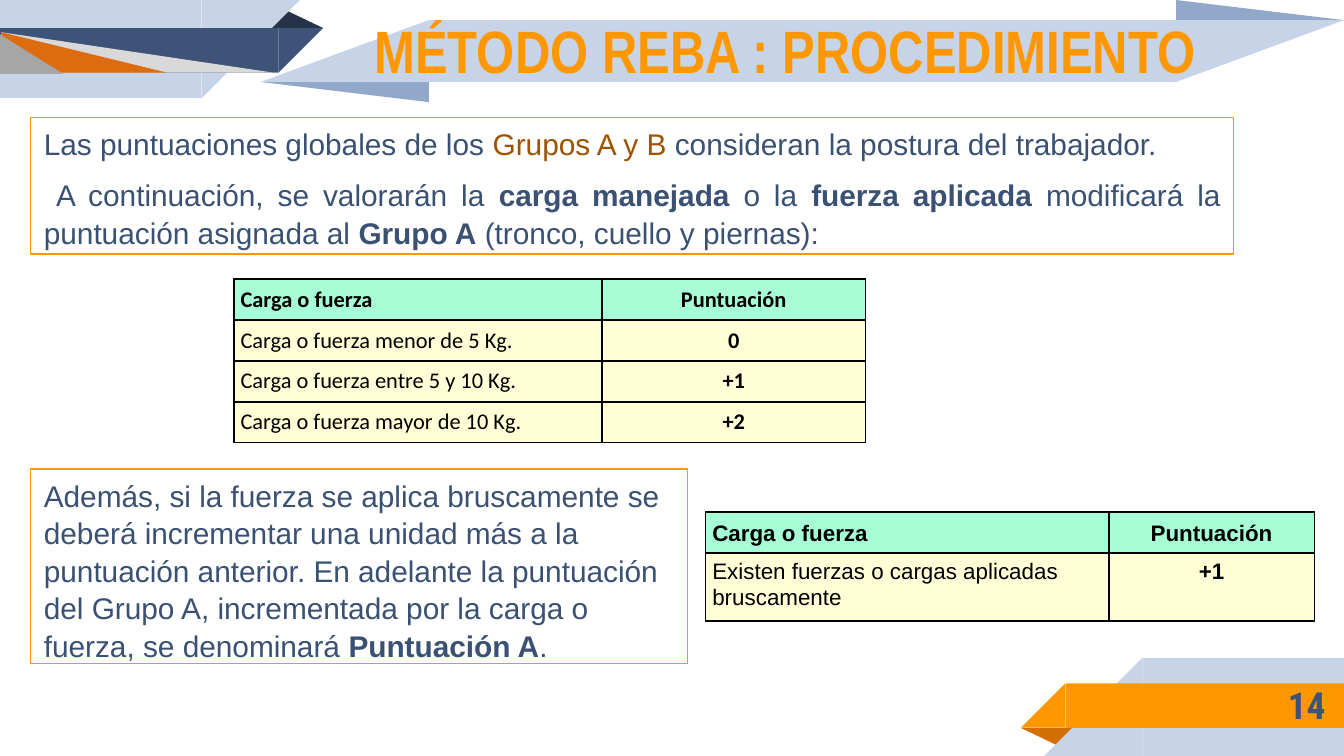
"""Build the REBA procedure slide with its load and force score tables."""
from dataclasses import dataclass

from pptx import Presentation
from pptx.dml.color import RGBColor as RGB
from pptx.enum.shapes import MSO_SHAPE as SHAPE
from pptx.enum.text import MSO_ANCHOR as ANCHOR, PP_ALIGN as ALIGN
from pptx.oxml import parse_xml
from pptx.oxml.ns import nsdecls
from pptx.util import Pt


@dataclass(frozen=True)
class Theme:
    pale: str = "C7D3E6"
    steel: str = "92A8C8"
    navy: str = "3F5378"
    night: str = "263248"
    orange: str = "FF9800"
    rust: str = "D26F00"
    ember: str = "DD6C10"
    light_gray: str = "D9D9D9"
    gray: str = "A6A6A6"
    body: str = "3A5173"
    brown: str = "9E5300"
    black: str = "000000"
    mint: str = "A6FDD6"
    cream: str = "FFFED6"
    title_size: int = 32
    number_size: int = 20
    body_size: int = 16
    table_size: int = 12


T = Theme()
W, H = 720, 405

prs = Presentation()
prs.slide_width, prs.slide_height = Pt(W), Pt(H)
s = prs.slides.add_slide(prs.slide_layouts[6])


def write(p, text, size=T.body_size, font="Arial", color=T.body, bold=False, align=None):
    r = p.add_run()
    r.text = text
    r.font.size, r.font.name, r.font.bold = Pt(size), font, bold
    r.font.color.rgb = RGB.from_string(color)
    if align is not None:
        p.alignment = align


def add_block(kind, box, color, adj=None, turn=0, flip=False):
    sp = s.shapes.add_shape(kind, *map(Pt, box))
    sp.shadow.inherit = False
    sp.fill.solid()
    sp.fill.fore_color.rgb = RGB.from_string(color)
    sp.line.fill.background()
    sp.rotation = turn
    if adj is not None:
        sp.adjustments[0] = adj
    if flip:
        sp._element.spPr.xfrm.set("flipH", "1")


RECT, RIGHT, TRI = SHAPE.RECTANGLE, SHAPE.RIGHT_TRIANGLE, SHAPE.ISOSCELES_TRIANGLE

for turn, fold, band in ((0, T.night, T.navy), (180, T.rust, T.orange)):
    for kind, (x, y, w, h), color, adj in (
        (TRI, (142.2, 5, 31, 10.1), fold, 0.32),
        (RECT, (0, 0, 108, 52.6), T.pale, None),
        (RIGHT, (108, 0, 52.6, 52.6), T.pale, None),
        (RECT, (0, 15.1, 149.2, 23.8), band, None),
        (RIGHT, (149.2, 15.1, 23.8, 23.8), band, None),
    ):
        box = (W - x - w, H - y - h, w, h) if turn else (x, y, w, h)
        mirrored = kind == RIGHT
        add_block(kind, box, color, adj, 180 - turn if mirrored else turn, mirrored)

add_block(RECT, (229.5, 10.8, 401, 33.1), T.pale)
for x, fold_y, turn in ((630, 0, 0), (139.7, 43.9, 180)):
    add_block(TRI, (x, fold_y, 90, 10.8), T.steel, 0, turn)
    add_block(RIGHT, (x, 10.8, 90, 33.1), T.pale, turn=180 - turn, flip=True)

add_block(TRI, (0.7, 17.3, 145.4, 21.6), T.light_gray, 0)
add_block(RIGHT, (0.7, 17.3, 88.6, 21.6), T.ember)
add_block(TRI, (-0.7, 18, 34.6, 21.6), T.gray, 0)

for text, box, inset, form in (
    ("14", (599.8, 365, 117.4, 25.2), 7.2,
     dict(size=T.number_size, font="Roboto Condensed", color=T.navy, align=ALIGN.RIGHT)),
    ("MÉTODO REBA : PROCEDIMIENTO", (184.3, 6.5, 473, 40.3), 0,
     dict(size=T.title_size, font="Arial Narrow", color=T.orange, align=ALIGN.CENTER)),
):
    tf = s.shapes.add_textbox(*map(Pt, box)).text_frame
    tf.word_wrap = True
    tf.vertical_anchor = ANCHOR.MIDDLE
    tf.margin_left = tf.margin_right = tf.margin_top = tf.margin_bottom = Pt(inset)
    write(tf.paragraphs[0], text, bold=True, **form)

strong = dict(bold=True)
scores_text = (
    (("Las puntuaciones globales de los ", {}),
     ("Grupos A y B ", dict(color=T.brown)),
     ("consideran la postura del trabajador.", {})),
    ((" A continuación, se valorarán la ", {}),
     ("carga manejada", strong),
     (" o la ", {}),
     ("fuerza aplicada", strong),
     (" modificará la puntuación asignada al ", {}),
     ("Grupo A", strong),
     (" (tronco, cuello y piernas):", {})),
)
sudden_text = (
    (("Además, si la fuerza se aplica bruscamente se deberá incrementar una unidad más "
      "a la puntuación anterior. En adelante la puntuación del Grupo A, incrementada "
      "por la carga o fuerza, se denominará ", {}),
     ("Puntuación A", strong),
     (".", {})),
)
for box, paragraphs, align, gap in (
    ((16.4, 62.8, 644.6, 73.4), scores_text, ALIGN.JUSTIFY, 7.5),
    ((16.4, 251.2, 352, 104.4), sudden_text, ALIGN.LEFT, 0),
):
    sp = s.shapes.add_textbox(*map(Pt, box))
    sp.line.color.rgb = RGB.from_string(T.orange)
    sp.line.width = Pt(0.75)
    tf = sp.text_frame
    tf.word_wrap = True
    for i, runs in enumerate(paragraphs):
        p = tf.add_paragraph() if i else tf.paragraphs[0]
        p.line_spacing, p.space_after = 1.05, Pt(gap)
        for text, form in runs:
            write(p, text, align=align, **form)

header = ("Carga o fuerza", "Puntuación")
load_rows = (
    header,
    ("Carga o fuerza menor de 5 Kg.", "0"),
    ("Carga o fuerza entre 5 y 10 Kg.", "+1"),
    ("Carga o fuerza mayor de 10 Kg.", "+2"),
)
sudden_rows = (header, ("Existen fuerzas o cargas aplicadas bruscamente", "+1"))
for left, top, widths, heights, font, rows in (
    (125.3, 149.6, (197.3, 141), (21.9,) * 4, "Calibri", load_rows),
    (378, 274.3, (216, 110.2), (21.9, 36.4), "Arial", sudden_rows),
):
    size = (Pt(left), Pt(top), Pt(sum(widths)), Pt(sum(heights)))
    table = s.shapes.add_table(len(rows), len(widths), *size).table
    for column, width in zip(table.columns, widths):
        column.width = Pt(width)
    for i, (row, height) in enumerate(zip(rows, heights)):
        table.rows[i].height = Pt(height)
        for j, text in enumerate(row):
            cell = table.cell(i, j)
            cell.margin_left = cell.margin_right = Pt(3.6)
            cell.margin_top = cell.margin_bottom = Pt(3.6)
            cell.vertical_anchor = ANCHOR.TOP if i else ANCHOR.BOTTOM
            for side in ("lnL", "lnR", "lnT", "lnB"):
                cell._tc.get_or_add_tcPr().append(parse_xml(
                    f'<a:{side} {nsdecls("a")} w="{Pt(1)}"><a:solidFill>'
                    f'<a:srgbClr val="{T.black}"/></a:solidFill></a:{side}>'))
            cell.fill.solid()
            cell.fill.fore_color.rgb = RGB.from_string(T.cream if i else T.mint)
            write(cell.text_frame.paragraphs[0], text, size=T.table_size, font=font,
                  color=T.black, bold=i == 0 or j == 1,
                  align=ALIGN.CENTER if j else ALIGN.LEFT)

prs.save("out.pptx")
